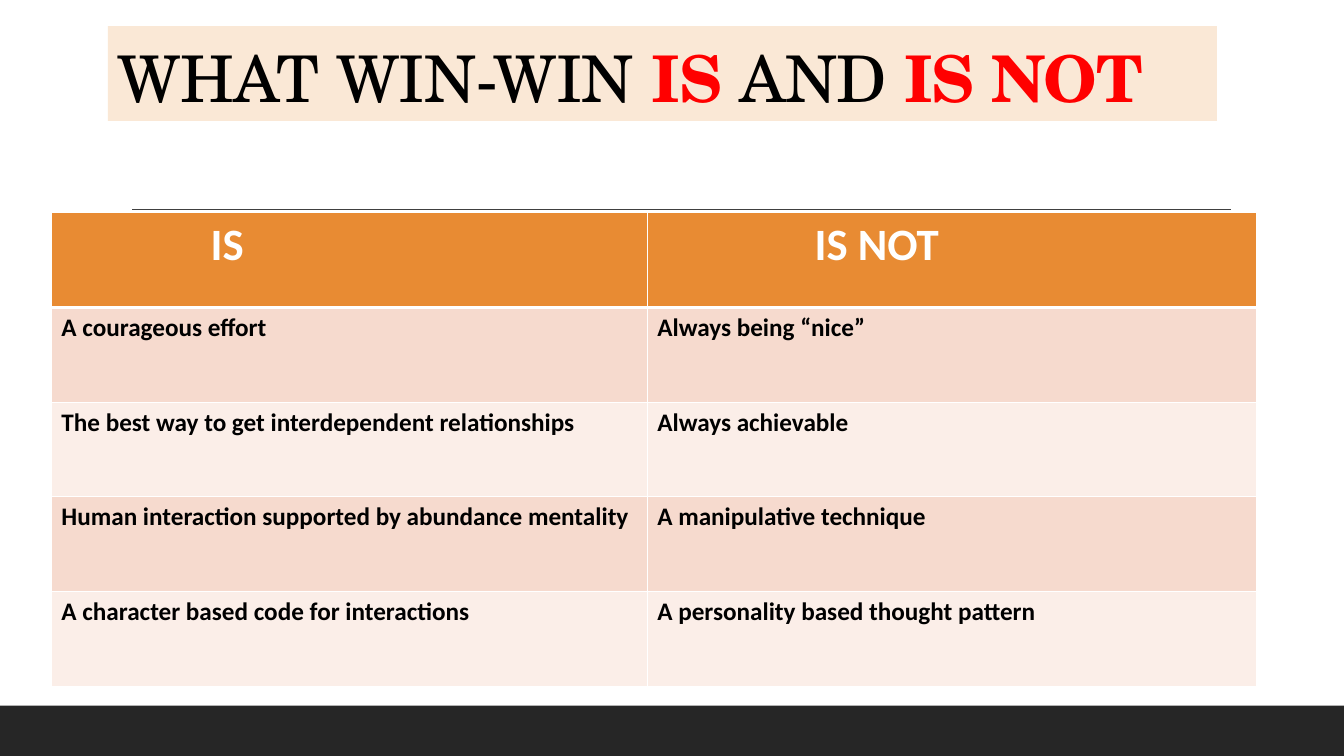
"""Build the slide on what win-win is and is not."""
from dataclasses import dataclass

from lxml import etree
from pptx import Presentation
from pptx.dml.color import RGBColor
from pptx.enum.shapes import MSO_CONNECTOR, MSO_SHAPE
from pptx.enum.text import MSO_ANCHOR, PP_ALIGN
from pptx.oxml.ns import qn
from pptx.util import Inches, Pt

RECT = MSO_SHAPE.RECTANGLE
STRAIGHT = MSO_CONNECTOR.STRAIGHT
BOTTOM = MSO_ANCHOR.BOTTOM
LEFT = PP_ALIGN.LEFT

TITLE_FONT, BODY_FONT = "TeX Gyre Schola", "Calibri"
BLACK, WHITE, RED = "000000", "FFFFFF", "FF0000"
HEADER_FILL = "E88B33"
BAND_FILLS = ("F6DACE", "FBEEE8")
COLUMN_WIDTHS = (5.91, 6.04)
HEADER_INDENTS = (1.58, 1.66)
ROW_HEIGHT = 0.94


@dataclass
class Span:
    text: str
    size: float
    color: str
    font: str = BODY_FONT
    bold: bool = True


@dataclass
class Box:
    left: float
    top: float
    width: float
    height: float
    fill: str


TITLE = [
    Span("WHAT WIN-WIN ", 46, BLACK, TITLE_FONT, False),
    Span("IS", 46, RED, TITLE_FONT),
    Span(" AND ", 46, BLACK, TITLE_FONT, False),
    Span("IS NOT", 46, RED, TITLE_FONT),
]
ROWS = [
    ("IS", "IS NOT"),
    ("A courageous effort", "Always being “nice”"),
    ("The best way to get interdependent relationships", "Always achievable"),
    ("Human interaction supported by abundance mentality", "A manipulative technique"),
    ("A character based code for interactions", "A personality based thought pattern"),
]


def rgb(color: str) -> RGBColor:
    return RGBColor.from_string(color)


def add_span(p, span: Span):
    r = p.add_run()
    r.text = span.text
    r.font.name = span.font
    r.font.size = Pt(span.size)
    r.font.bold = span.bold
    r.font.color.rgb = rgb(span.color)
    return r


def add_box(s, box: Box):
    sp = s.shapes.add_shape(
        RECT, Inches(box.left), Inches(box.top), Inches(box.width), Inches(box.height)
    )
    sp.shadow.inherit = False
    sp.fill.solid()
    sp.fill.fore_color.rgb = rgb(box.fill)
    sp.line.fill.background()
    return sp


def add_rule(s, left: float, right: float, y: float, color: str) -> None:
    line = s.shapes.add_connector(
        STRAIGHT, Inches(left), Inches(y), Inches(right), Inches(y)
    )
    line.line.color.rgb = rgb(color)
    line.line.width = Pt(1)
    etree.SubElement(line._element.spPr, qn("a:effectLst"))


def add_title(s) -> None:
    tf = add_box(s, Box(1.07, 0.26, 11, 0.94, "FAE8D6")).text_frame
    tf.word_wrap = True
    tf.vertical_anchor = BOTTOM
    p = tf.paragraphs[0]
    p.alignment = LEFT
    p.line_spacing = 0.9
    for span in TITLE:
        add_span(p, span)._r.get_or_add_rPr().set("spc", "-50")


def set_borders(cell, bottom: float) -> None:
    tc_pr = cell._tc.get_or_add_tcPr()
    for side, width in (("L", 1), ("R", 1), ("T", 1), ("B", bottom)):
        ln = etree.SubElement(tc_pr, qn(f"a:ln{side}"), w=str(Pt(width)))
        fill = etree.SubElement(ln, qn("a:solidFill"))
        etree.SubElement(fill, qn("a:srgbClr"), val=WHITE)


def add_comparison(s) -> None:
    table = s.shapes.add_table(
        len(ROWS), len(COLUMN_WIDTHS), Inches(0.51), Inches(2.11),
        Inches(sum(COLUMN_WIDTHS)), Inches(ROW_HEIGHT * len(ROWS)),
    ).table
    for column, width in zip(table.columns, COLUMN_WIDTHS):
        column.width = Inches(width)
    for i, texts in enumerate(ROWS):
        header = i == 0
        table.rows[i].height = Inches(ROW_HEIGHT)
        for j, text in enumerate(texts):
            cell = table.cell(i, j)
            set_borders(cell, 3 if header else 1)
            cell.fill.solid()
            cell.fill.fore_color.rgb = rgb(HEADER_FILL if header else BAND_FILLS[(i - 1) % 2])
            if header:
                cell.margin_left = Inches(HEADER_INDENTS[j])
            span = Span(text, 32, WHITE) if header else Span(text, 18, BLACK)
            add_span(cell.text_frame.paragraphs[0], span)


def main() -> None:
    prs = Presentation()
    prs.slide_width, prs.slide_height = Inches(13.33), Inches(7.5)
    s = prs.slides.add_slide(prs.slide_layouts[6])
    add_box(s, Box(0, 7, 13.33, 0.5, "262626"))
    add_rule(s, 1.31, 12.21, 2.08, "404040")
    add_title(s)
    add_comparison(s)
    prs.save("out.pptx")


if __name__ == "__main__":
    main()
